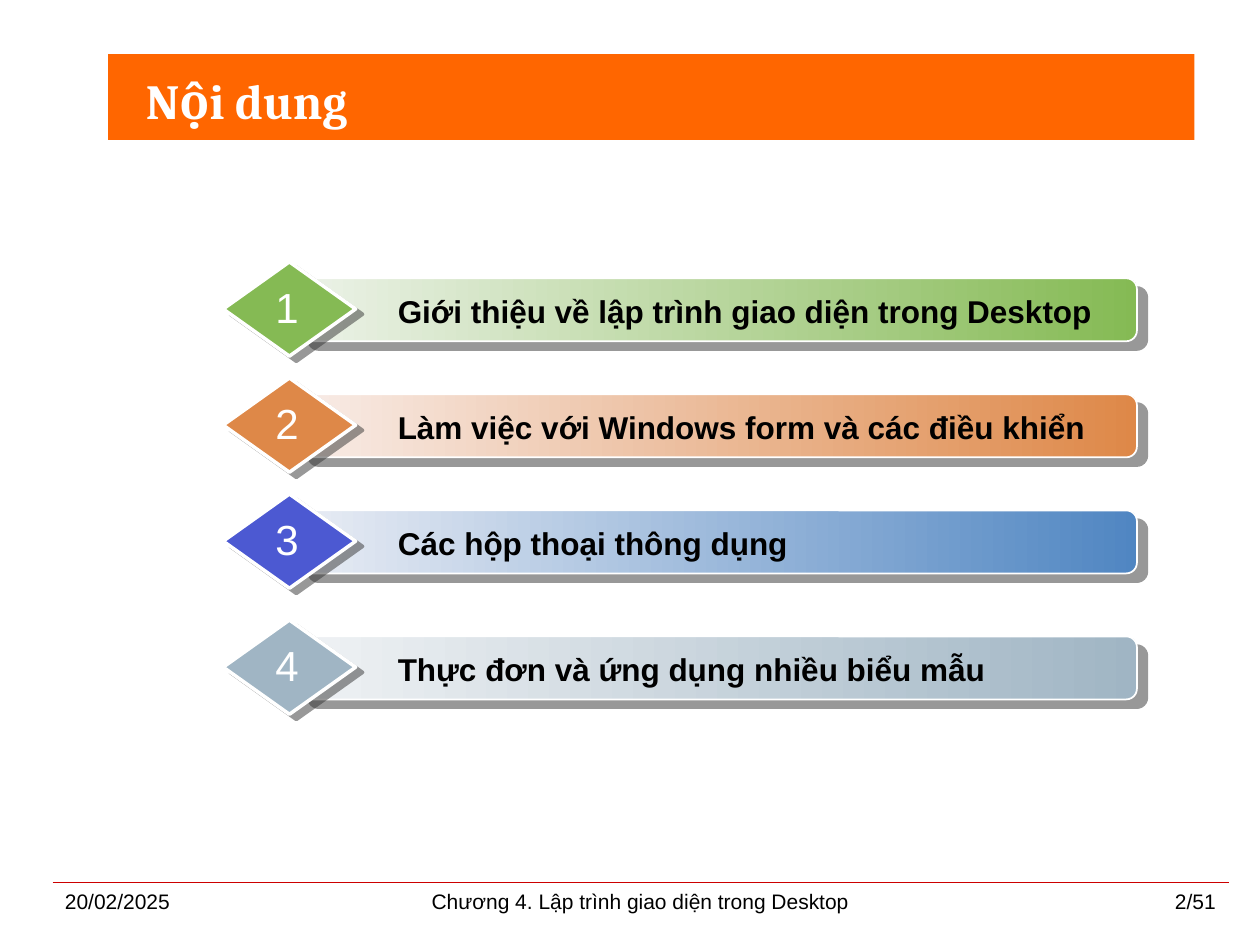
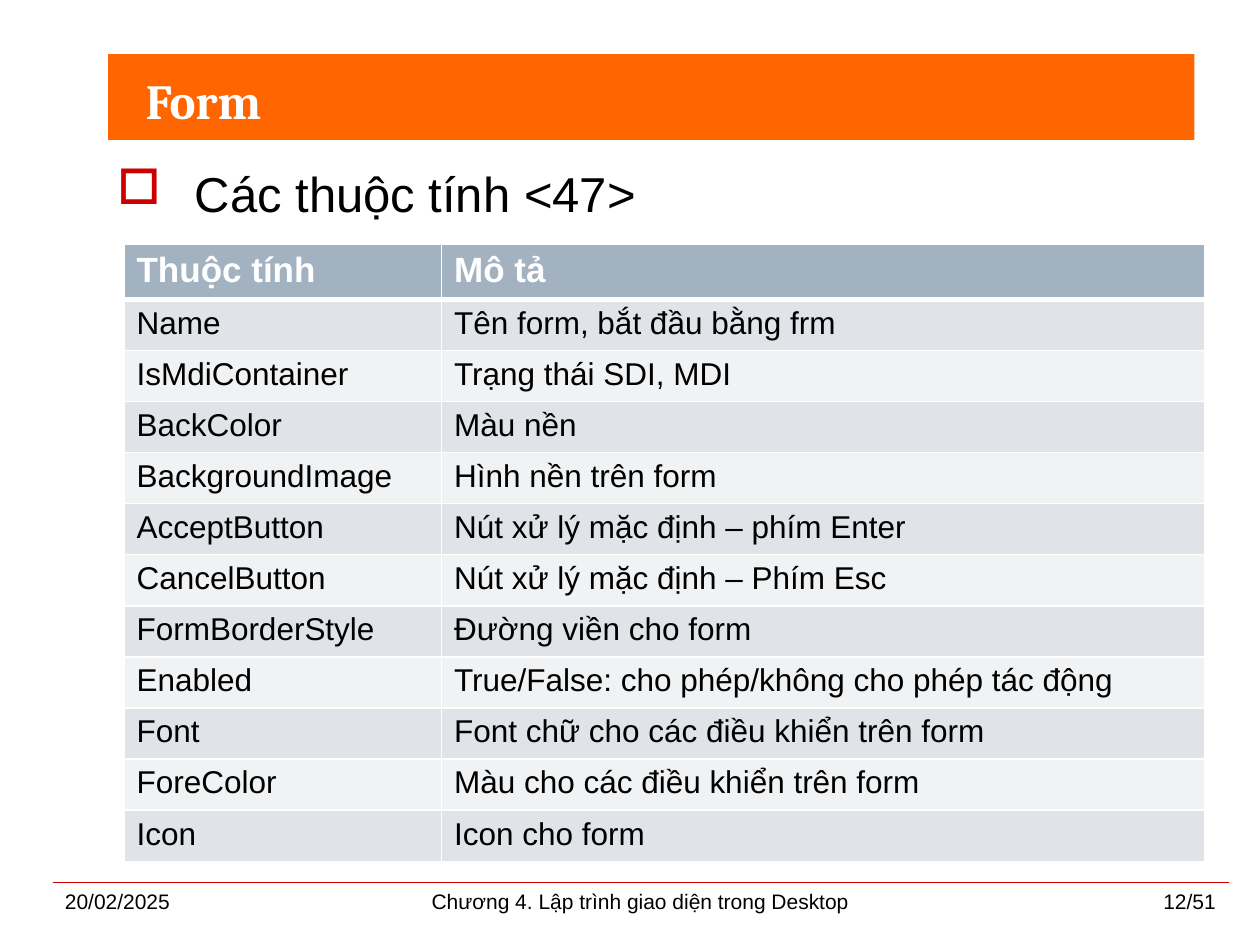
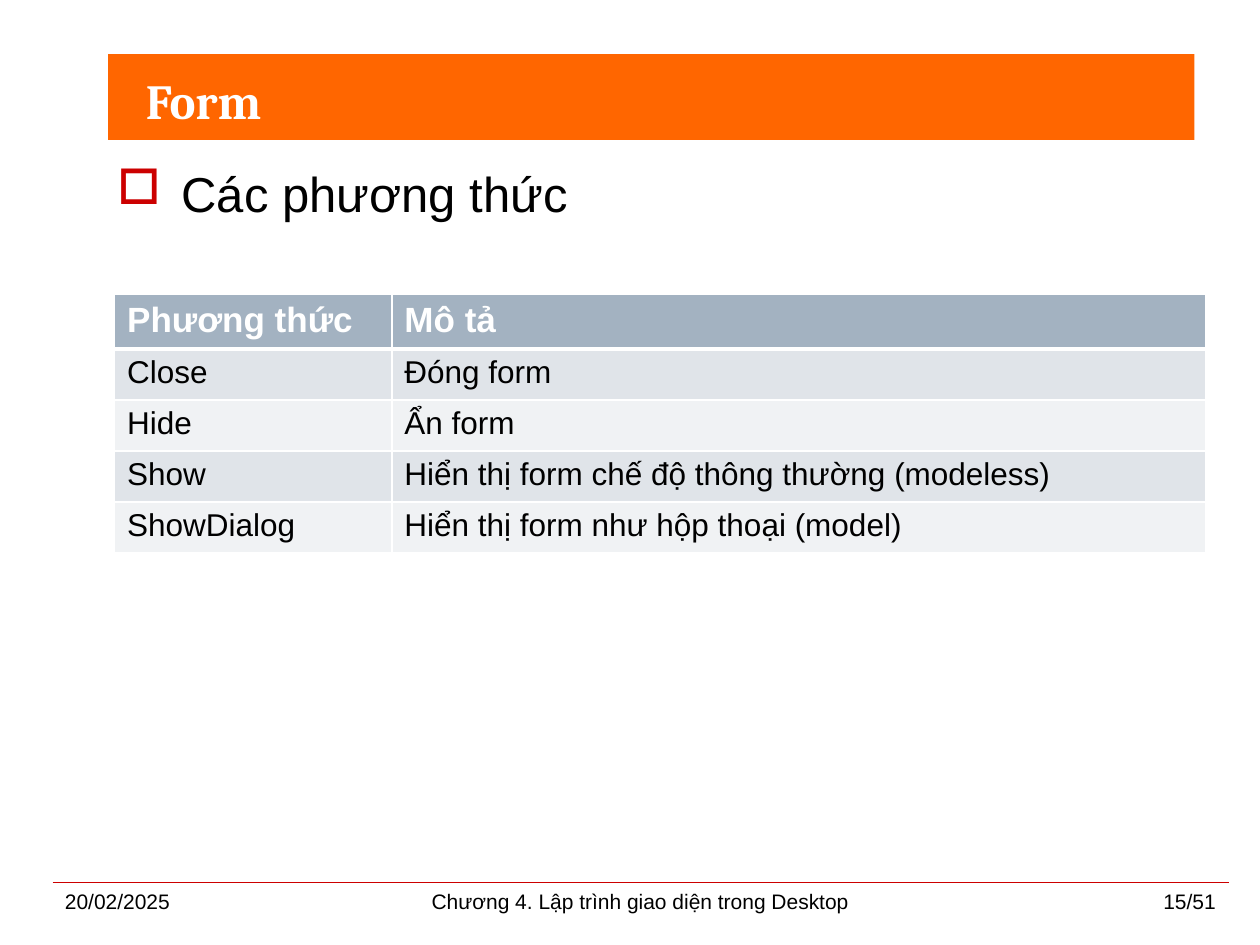
"""Build three slides of a lecture on form programming: outline, properties and methods."""
from lxml import etree
from pptx import Presentation
from pptx.dml.color import RGBColor
from pptx.enum import shapes, text
from pptx.oxml.ns import qn
from pptx.util import Cm, Pt

ORANGE, RED, WHITE, BLACK = "FF6600", "CC0000", "FFFFFF", "000000"
HEADER_FILL, ROW_FILLS = "A3B2C1", ("E0E4E9", "F0F2F4")
SHADOW = "333333"
BODY_FONT, TITLE_FONT = "Arial", "Cambria"
LEFT, CENTER, RIGHT = text.PP_ALIGN.LEFT, text.PP_ALIGN.CENTER, text.PP_ALIGN.RIGHT

DATE = "20/02/2025"
CHAPTER = "Chương 4. Lập trình giao diện trong Desktop"
PAGE_COUNT = 51

# top, diamond colour, bar start, bar end, topic
OUTLINE = [
    (5.28, "85BA54", "ECF2E8", "85BA54", "Giới thiệu về lập trình giao diện trong Desktop"),
    (7.62, "DE8848", "F8ECE7", "DE8848", "Làm việc với Windows form và các điều khiển"),
    (9.96, "4C59D2", "E8ECF4", "5086C2", "Các hộp thoại thông dụng"),
    (12.5, "A0B5C4", "EFF2F4", "A0B5C4", "Thực đơn và ứng dụng nhiều biểu mẫu"),
]

PROPERTIES = [
    ("Thuộc tính", "Mô tả"),
    ("Name", "Tên form, bắt đầu bằng frm"),
    ("IsMdiContainer", "Trạng thái SDI, MDI"),
    ("BackColor", "Màu nền"),
    ("BackgroundImage", "Hình nền trên form"),
    ("AcceptButton", "Nút xử lý mặc định – phím Enter"),
    ("CancelButton", "Nút xử lý mặc định – Phím Esc"),
    ("FormBorderStyle", "Đường viền cho form"),
    ("Enabled", "True/False: cho phép/không cho phép tác động"),
    ("Font", "Font chữ cho các điều khiển trên form"),
    ("ForeColor", "Màu cho các điều khiển trên form"),
    ("Icon", "Icon cho form"),
]

METHODS = [
    ("Phương thức", "Mô tả"),
    ("Close", "Đóng form"),
    ("Hide", "Ẩn form"),
    ("Show", "Hiển thị form chế độ thông thường (modeless)"),
    ("ShowDialog", "Hiển thị form như hộp thoại (model)"),
]


def rgb(code):
    return RGBColor.from_string(code)


def add_xml(parent, tag, **attributes):
    return etree.SubElement(parent, qn(tag), attributes)


def add_run(paragraph, words, size, color=BLACK, bold=False, font=BODY_FONT):
    run = paragraph.add_run()
    run.text = words
    run.font.size, run.font.bold, run.font.name = Pt(size), bold, font
    run.font.color.rgb = rgb(color)


def add_text(slide, place, words, size, align=LEFT, wrap=True,
             anchor=text.MSO_ANCHOR.TOP, **style):
    frame = slide.shapes.add_textbox(*map(Cm, place)).text_frame
    frame.word_wrap, frame.vertical_anchor = wrap, anchor
    frame.paragraphs[0].alignment = align
    add_run(frame.paragraphs[0], words, size, **style)


def add_panel(slide, kind, place, fill, line_width=0, shadow=None):
    panel = slide.shapes.add_shape(kind, *map(Cm, place))
    if isinstance(fill, tuple):
        panel.fill.gradient()
        panel.fill.gradient_angle = 0
        for stop, color in zip(panel.fill.gradient_stops, fill):
            stop.color.rgb = rgb(color)
    else:
        panel.fill.solid()
        panel.fill.fore_color.rgb = rgb(fill)
    if line_width:
        panel.line.color.rgb, panel.line.width = rgb(WHITE), Pt(line_width)
    else:
        panel.line.fill.background()
    panel.shadow.inherit = False
    if shadow:
        distance, angle = shadow
        effects = panel._element.spPr.find(qn("a:effectLst"))
        outer = add_xml(effects, "a:outerShdw", blurRad="0", dist=str(Pt(distance)),
                        dir=str(angle * 60000), algn="ctr", rotWithShape="0")
        add_xml(add_xml(outer, "a:srgbClr", val=SHADOW), "a:alpha", val="50000")
    return panel


def add_page(deck, title, number):
    slide = deck.slides.add_slide(deck.slide_layouts[6])
    rule = slide.shapes.add_connector(
        shapes.MSO_CONNECTOR.STRAIGHT, Cm(1.06), Cm(17.78), Cm(24.77), Cm(17.78))
    rule.line.color.rgb, rule.line.width = rgb(RED), Pt(0.25)
    add_xml(rule._element.spPr, "a:effectLst")
    add_panel(slide, shapes.MSO_SHAPE.RECTANGLE, (2.18, 1.09, 21.9, 1.73), ORANGE)
    footer = [(1.06, 5.5, DATE, LEFT), (7.41, 11, CHAPTER, CENTER),
              (19.26, 5.5, f"{number}/{PAGE_COUNT}", RIGHT)]
    for left, width, words, align in footer:
        add_text(slide, (left, 17.78, width, 0.88), words, 12, align)
    add_text(slide, (2.69, 1.07, 20.8, 1.9), title, 28, color=WHITE, bold=True,
             font=TITLE_FONT, anchor=text.MSO_ANCHOR.MIDDLE)
    return slide


def add_topic(slide, number, top, diamond, start, end, topic):
    bar = add_panel(slide, shapes.MSO_SHAPE.ROUNDED_RECTANGLE, (6, top + 0.33, 16.92, 1.27),
                    (start, end), 1, (7.8, 40))
    bar.adjustments[0] = 0.17
    add_panel(slide, shapes.MSO_SHAPE.DIAMOND, (4.5, top, 2.67, 1.9), diamond, 2, (5, 37))
    add_text(slide, (7.77, top + 0.48, 15.14, 1.02), topic, 18, bold=True)
    add_text(slide, (5.1, top + 0.27, 1.37, 1.27), str(number), 24, CENTER,
             wrap=False, color=WHITE)


def add_heading(slide, words, indent):
    frame = slide.shapes.add_textbox(Cm(2.11), Cm(3.18), Cm(22.02), Cm(14.4)).text_frame
    frame.word_wrap = True
    heading = frame.paragraphs[0]
    properties = heading._p.get_or_add_pPr()
    properties.set("marL", str(Cm(indent)))
    properties.set("indent", str(-Cm(indent)))
    add_xml(add_xml(properties, "a:buClr"), "a:srgbClr", val=RED)
    add_xml(properties, "a:buChar", char="□")
    add_run(heading, words, 28)


def add_borders(cell, row):
    properties = cell._tc.get_or_add_tcPr()
    widths = {"L": 1, "R": 1, "T": 3 if row == 1 else 1, "B": 3 if row == 0 else 1}
    for side, width in widths.items():
        border = add_xml(properties, f"a:ln{side}", w=str(Pt(width)))
        add_xml(add_xml(border, "a:solidFill"), "a:srgbClr", val=WHITE)


def add_grid(slide, left, top, widths, rows, row_height=1.03):
    grid = slide.shapes.add_table(len(rows), len(widths), Cm(left), Cm(top),
                                  Cm(sum(widths)), Cm(row_height * len(rows))).table
    for column, width in zip(grid.columns, widths):
        column.width = Cm(width)
    for r, row in enumerate(rows):
        grid.rows[r].height = Cm(row_height)
        for c, words in enumerate(row):
            cell = grid.cell(r, c)
            add_borders(cell, r)
            cell.fill.solid()
            cell.fill.fore_color.rgb = rgb(ROW_FILLS[(r - 1) % 2] if r else HEADER_FILL)
            style = (18, BLACK, False) if r else (20, WHITE, True)
            add_run(cell.text_frame.paragraphs[0], words, *style)


def main():
    deck = Presentation()
    deck.slide_width, deck.slide_height = Cm(25.4), Cm(19.05)

    outline = add_page(deck, "Nội dung", 2)
    for number, topic in enumerate(OUTLINE, 1):
        add_topic(outline, number, *topic)

    properties = add_page(deck, "Form", 12)
    add_heading(properties, "Các thuộc tính <47>", 1.57)
    add_grid(properties, 2.5, 4.93, (6.4, 15.39), PROPERTIES)

    methods = add_page(deck, "Form", 15)
    add_heading(methods, "Các phương thức", 1.3)
    add_grid(methods, 2.31, 5.93, (5.59, 16.41), METHODS)

    deck.save("out.pptx")


if __name__ == "__main__":
    main()
